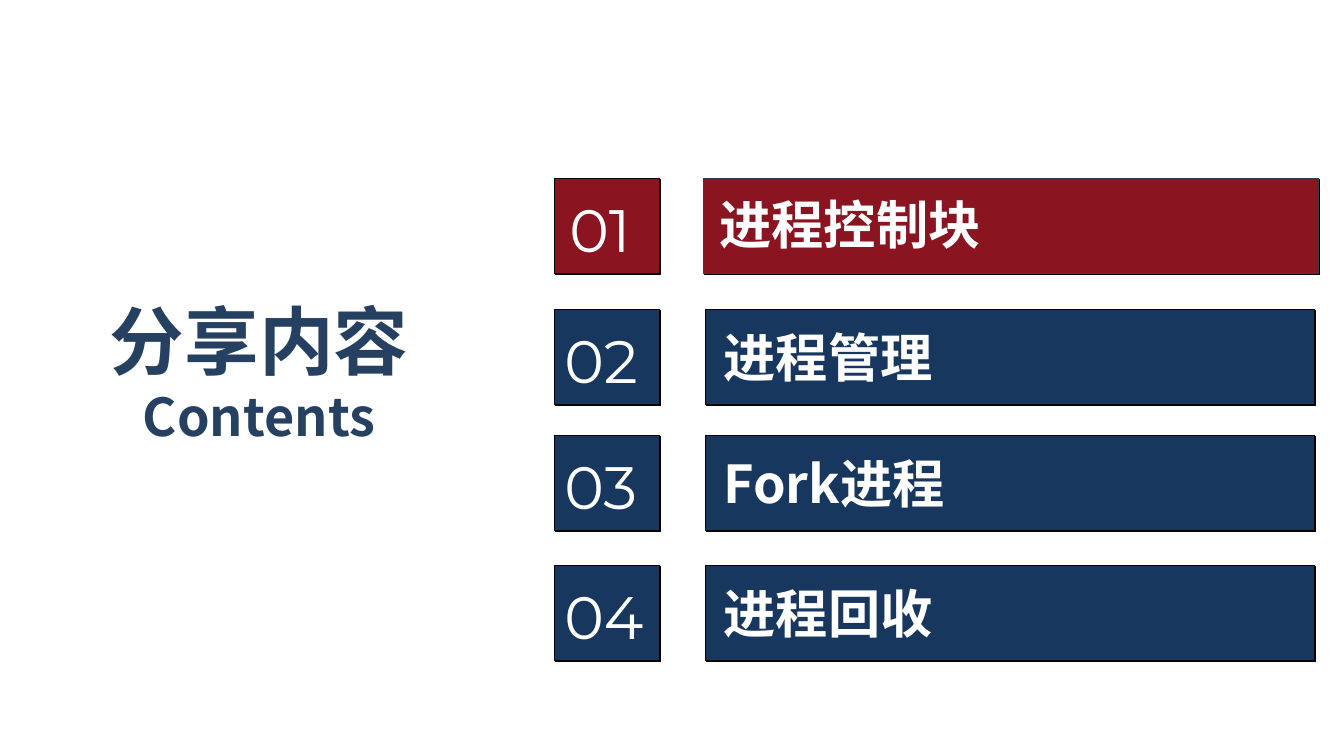
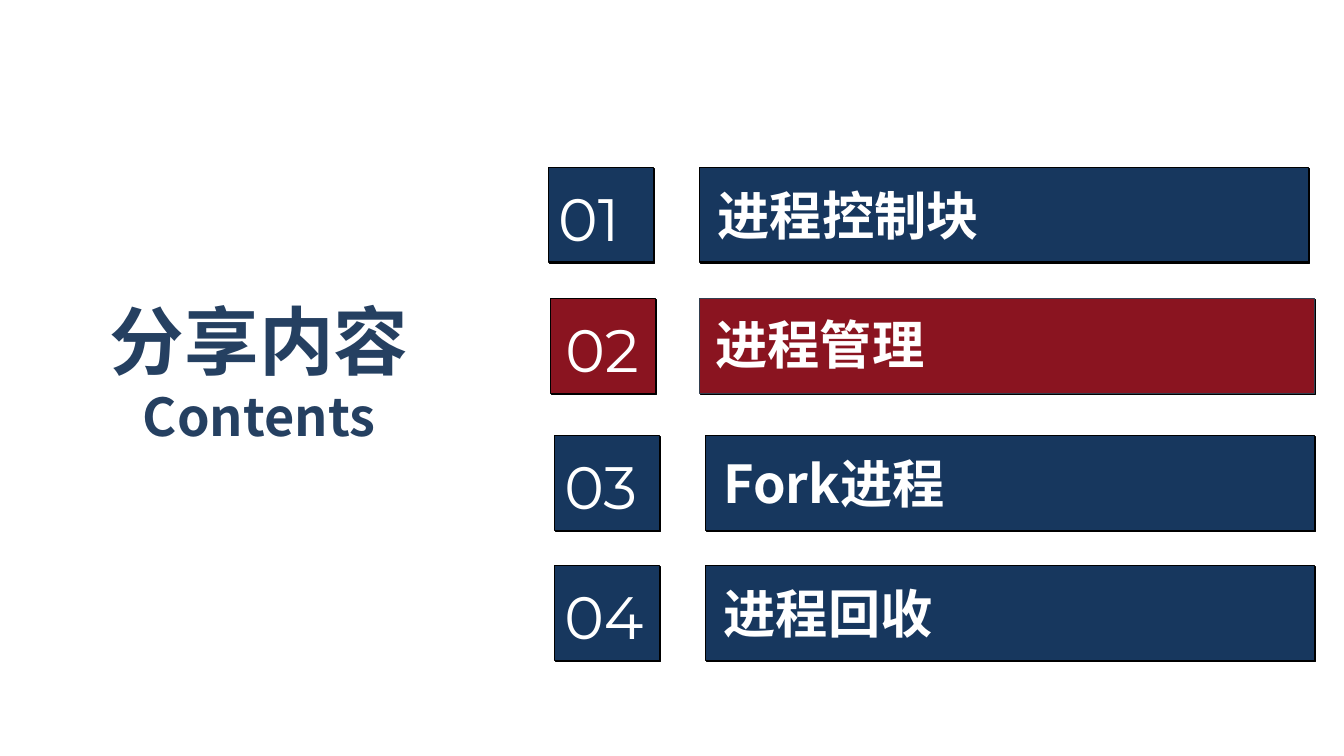
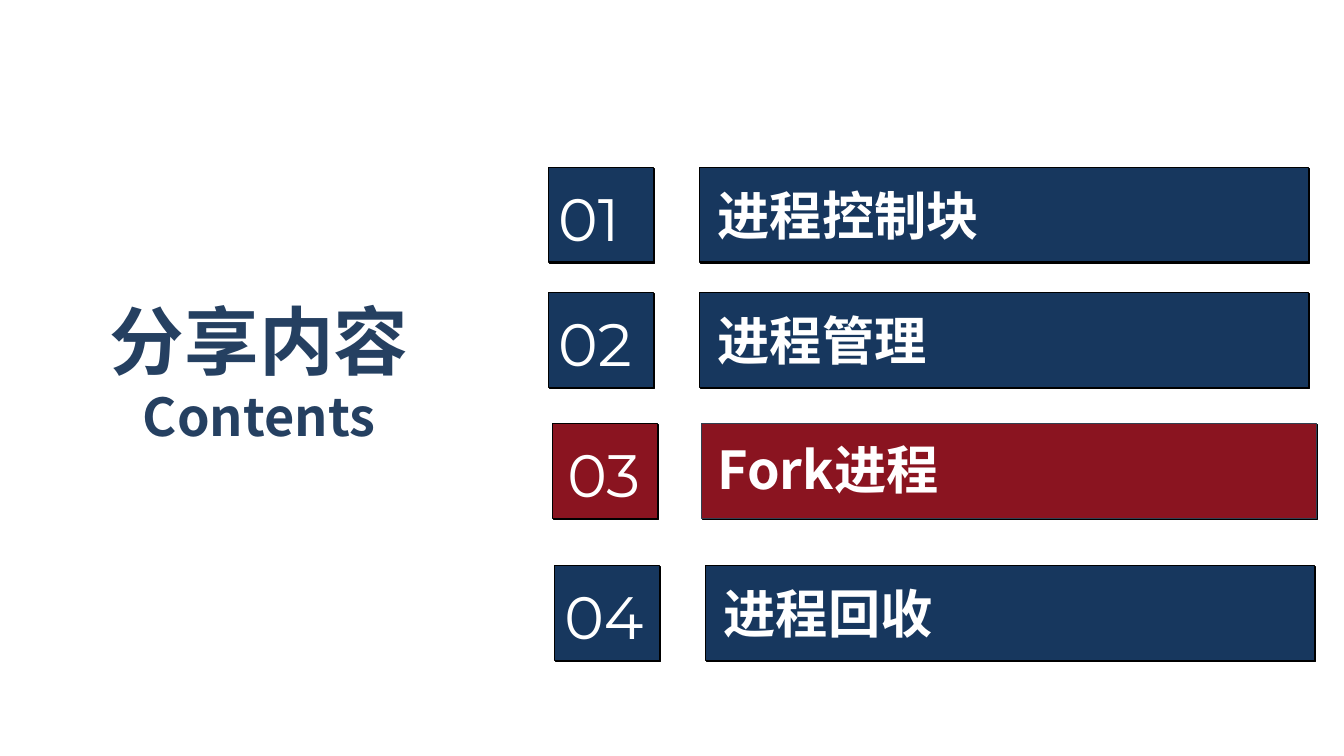
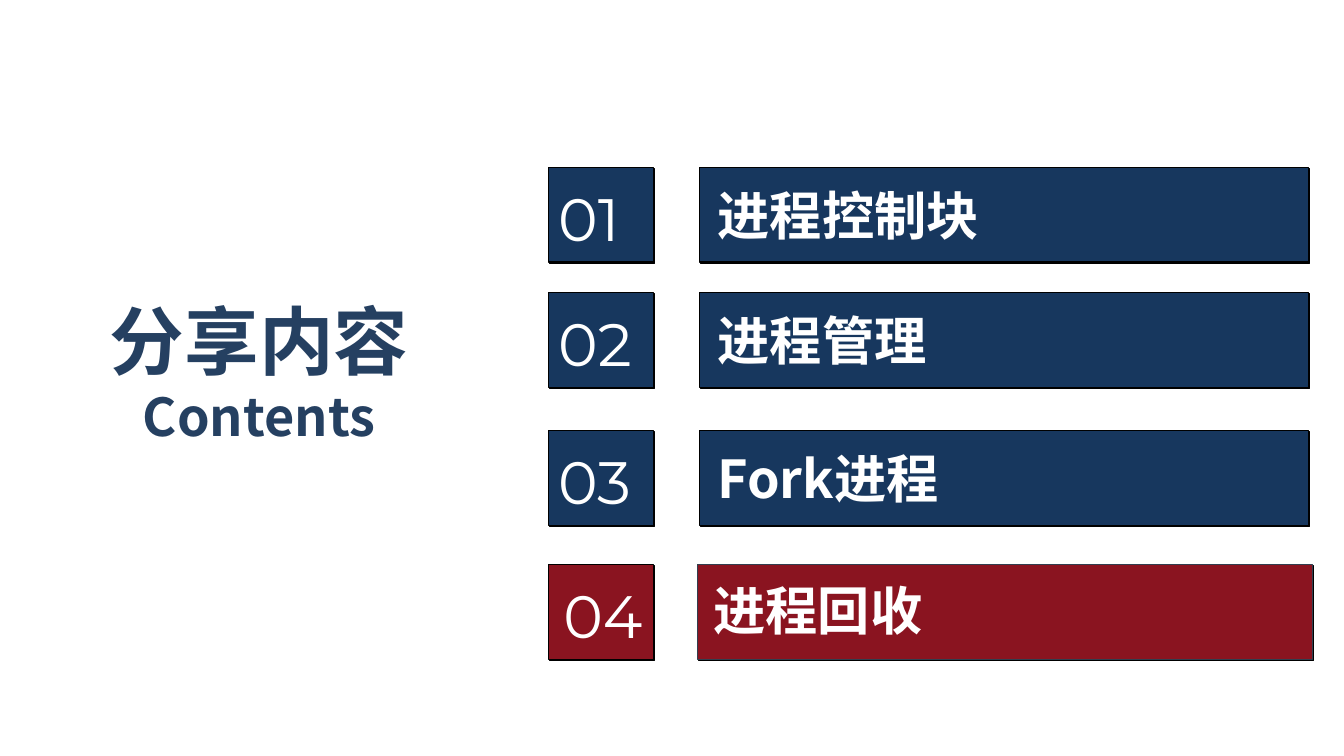
from pptx import Presentation
from pptx.dml.color import RGBColor
from pptx.enum.shapes import MSO_SHAPE
from pptx.enum.text import MSO_AUTO_SIZE, PP_ALIGN
from pptx.oxml.ns import qn
from pptx.util import Inches, Pt
from lxml.etree import SubElement

# Shared look
WHITE = RGBColor(0xFF, 0xFF, 0xFF)
BLACK = RGBColor(0x00, 0x00, 0x00)
NAVY = RGBColor(0x17, 0x37, 0x5E)
CRIMSON = RGBColor(0x8A, 0x14, 0x20)
SLATE = RGBColor(0x32, 0x3F, 0x4F)
HEADING_BLUE = RGBColor(0x25, 0x40, 0x61)
NUMBER_FONT = "Montserrat"
TEXT_FONT = "Noto Sans CJK SC"

TOPICS = ["进程控制块", "进程管理", "Fork进程", "进程回收"]

# Agenda grid, in percent of the slide's width (left) and height (top)
DONE_LEFT, UPCOMING_LEFT = 40.8, 41.25
CURRENT_LEFTS = [41.25, 40.95, 41.1, 40.8]
DONE_TOPS = [22.13, 38.67, 56.93, 74.67]
CURRENT_TOPS = [23.6, 39.47, 56, 74.67]
UPCOMING_TOPS = [23.6, 40.93, 57.6, 74.8]
ROW_HEIGHT = 12.53
NUMBER_WIDTH = 7.8

presentation = Presentation()
presentation.slide_width = Inches(13.33)
presentation.slide_height = Inches(7.5)


def place(left, top, width, height):
    """Turn percentages of the slide into left, top, width and height."""
    across, down = presentation.slide_width / 100, presentation.slide_height / 100
    return (round(left * across), round(top * down),
            round(width * across), round(height * down))


def add_text(slide, box, lines, font_name, color, bold=False, align=None, wrap=True):
    """Add a text box; lines holds (text, size) pairs, one per paragraph."""
    text_frame = slide.shapes.add_textbox(*place(*box)).text_frame
    text_frame.word_wrap = wrap
    text_frame.auto_size = MSO_AUTO_SIZE.SHAPE_TO_FIT_TEXT
    for index, (text, size) in enumerate(lines):
        paragraph = text_frame.add_paragraph() if index else text_frame.paragraphs[0]
        paragraph.alignment = align
        run = paragraph.add_run()
        run.text = text
        run.font.size = Pt(size)
        run.font.bold = bold
        run.font.color.rgb = color
        run.font.name = font_name
        SubElement(run.font._element, qn("a:ea"), typeface=font_name)


for current in range(len(TOPICS)):
    slide = presentation.slides.add_slide(presentation.slide_layouts[6])

    # Heading
    add_text(slide, (7.28, 38.4, 24, 21.73), [("分享内容", 53.3), ("Contents", 37.3)],
             TEXT_FONT, HEADING_BLUE, bold=True, align=PP_ALIGN.CENTER, wrap=False)

    for row, topic in enumerate(TOPICS):
        # Position and colours by the state of the row
        if row == current:
            left, top = CURRENT_LEFTS[row], CURRENT_TOPS[row]
            fill, bar_line = CRIMSON, SLATE
            bar_left, bar_width = left + 11.1, 45.75
            number_indent = 0.38
            topic_indent, topic_drop, topic_width = 0.45, 1.2, 45.3
        else:
            if row < current:
                left, top = DONE_LEFT, DONE_TOPS[row]
            else:
                left, top = UPCOMING_LEFT, UPCOMING_TOPS[row]
            fill, bar_line = NAVY, BLACK
            bar_left, bar_width = left + 11.25, 45.3
            number_indent = 0
            topic_indent, topic_drop, topic_width = 0.6, 1.47, 42.83

        # Number square and topic bar with a hard shadow
        for shape_left, width, line_color in [(left, NUMBER_WIDTH, BLACK),
                                              (bar_left, bar_width, bar_line)]:
            shape = slide.shapes.add_shape(
                MSO_SHAPE.RECTANGLE, *place(shape_left, top, width, ROW_HEIGHT))
            shape.fill.solid()
            shape.fill.fore_color.rgb = fill
            shape.line.color.rgb = line_color
            shape.line.width = Pt(0.75)
            shape.shadow.inherit = False
            effects = shape._element.spPr.find(qn("a:effectLst"))
            shadow = SubElement(effects, qn("a:outerShdw"), blurRad="0",
                                dist=str(Pt(1.4)), dir="2700000", algn="tl")
            SubElement(shadow, qn("a:srgbClr"), val=str(BLACK))

        # Number and topic
        add_text(slide, (left + number_indent, top + 1.2, 8.4, 10.93),
                 [(f"{row + 1:02}", 42.7)], NUMBER_FONT, WHITE)
        add_text(slide, (bar_left + topic_indent, top + topic_drop, topic_width, 9.73),
                 [(topic, 37.3)], TEXT_FONT, WHITE, bold=True)

presentation.save("out.pptx")
